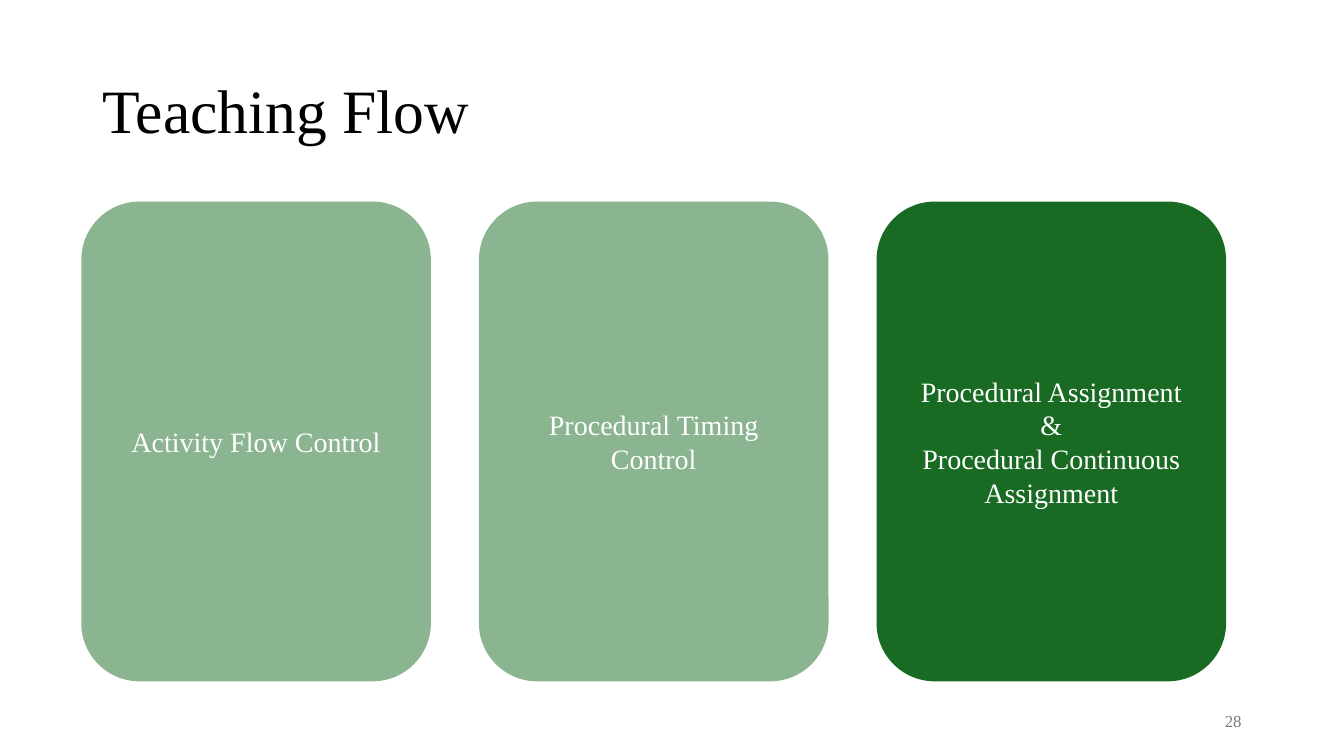
import pptx
import pptx.util
import pptx.dml.color
import pptx.enum.shapes
import pptx.enum.text
import pptx.oxml
import pptx.oxml.ns
from pptx.util import Cm

COLORS = {"green": "196B24", "white": "FFFFFF", "black": "000000", "gray": "797979"}
FONT = "Times New Roman"

TITLE = "Teaching Flow"
PAGE_NUMBER = "28"
# Paragraphs and fill opacity in percent
STAGES = [
    (["Activity Flow Control"], 50),
    (["Procedural Timing Control"], 50),
    (["Procedural Assignment", "&", "Procedural Continuous Assignment"], 100),
]

CARD_LEFT, CARD_TOP, CARD_WIDTH, CARD_HEIGHT = 2.05, 5.08, 8.81, 12.09
CARD_GAP = 1.21

ALIGN = pptx.enum.text.PP_ALIGN
TITLE_FORMAT = {"size": pptx.util.Pt(44), "name": FONT}
CARD_FORMAT = {"size": pptx.util.Pt(20), "name": FONT}
NUMBER_FORMAT = {"size": pptx.util.Pt(12), "name": FONT}


def rgb(color):
    return pptx.dml.color.RGBColor.from_string(COLORS[color])


def write_text(shape, lines, text_format, color, alignment, line_spacing=None):
    frame = shape.text_frame
    frame.word_wrap = True
    frame.vertical_anchor = pptx.enum.text.MSO_ANCHOR.MIDDLE
    for index, line in enumerate(lines):
        para = frame.paragraphs[0] if index == 0 else frame.add_paragraph()
        para.alignment = alignment
        para.line_spacing = line_spacing
        span = para.add_run()
        span.text = line
        for attribute, value in text_format.items():
            setattr(span.font, attribute, value)
        span.font.color.rgb = rgb(color)


def set_opacity(shape, percent):
    """Add an alpha value to the solid fill of a shape."""
    color = shape.fill._xPr.find(".//" + pptx.oxml.ns.qn("a:srgbClr"))
    namespace = pptx.oxml.ns.nsdecls("a")
    color.append(pptx.oxml.parse_xml(f'<a:alpha {namespace} val="{percent * 1000}"/>'))


def add_card(page, index, lines, opacity):
    left = CARD_LEFT + index * (CARD_WIDTH + CARD_GAP)
    card = page.shapes.add_shape(
        pptx.enum.shapes.MSO_SHAPE.ROUNDED_RECTANGLE,
        Cm(left), Cm(CARD_TOP), Cm(CARD_WIDTH), Cm(CARD_HEIGHT))
    card.shadow.inherit = False
    card.line.fill.background()
    card.fill.solid()
    card.fill.fore_color.rgb = rgb("green")
    if opacity < 100:
        set_opacity(card, opacity)
    write_text(card, lines, CARD_FORMAT, "white", ALIGN.CENTER)


def main():
    deck = pptx.Presentation()
    deck.slide_width, deck.slide_height = Cm(33.87), Cm(19.05)
    page = deck.slides.add_slide(deck.slide_layouts[6])

    title = page.shapes.add_textbox(Cm(2.33), Cm(1.01), Cm(29.21), Cm(3.68))
    write_text(title, [TITLE], TITLE_FORMAT, "black", ALIGN.LEFT, 0.9)

    for index, (lines, opacity) in enumerate(STAGES):
        add_card(page, index, lines, opacity)

    number = page.shapes.add_textbox(Cm(23.92), Cm(17.66), Cm(7.62), Cm(1.01))
    write_text(number, [PAGE_NUMBER], NUMBER_FORMAT, "gray", ALIGN.RIGHT)

    deck.save("out.pptx")


if __name__ == "__main__":
    main()
